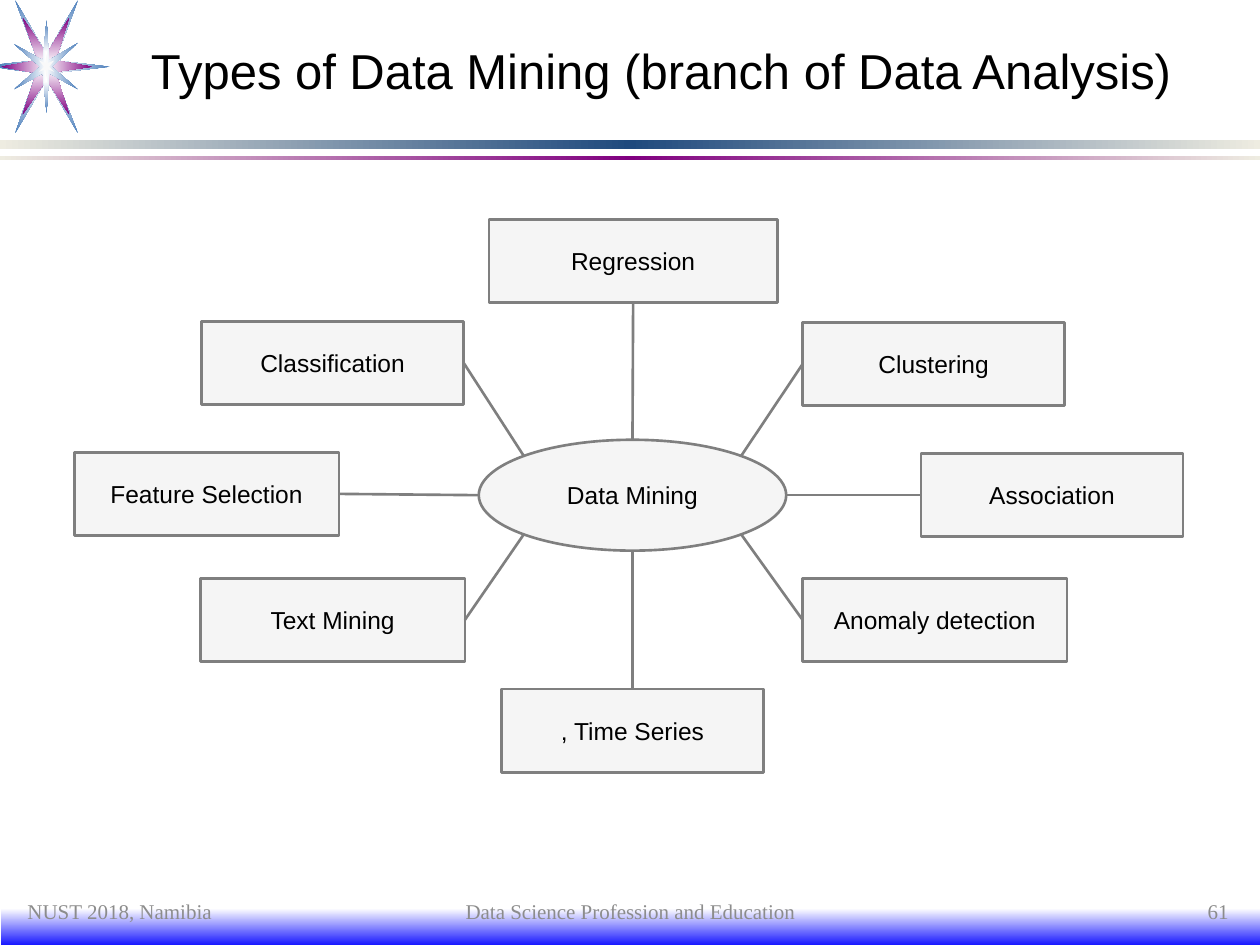
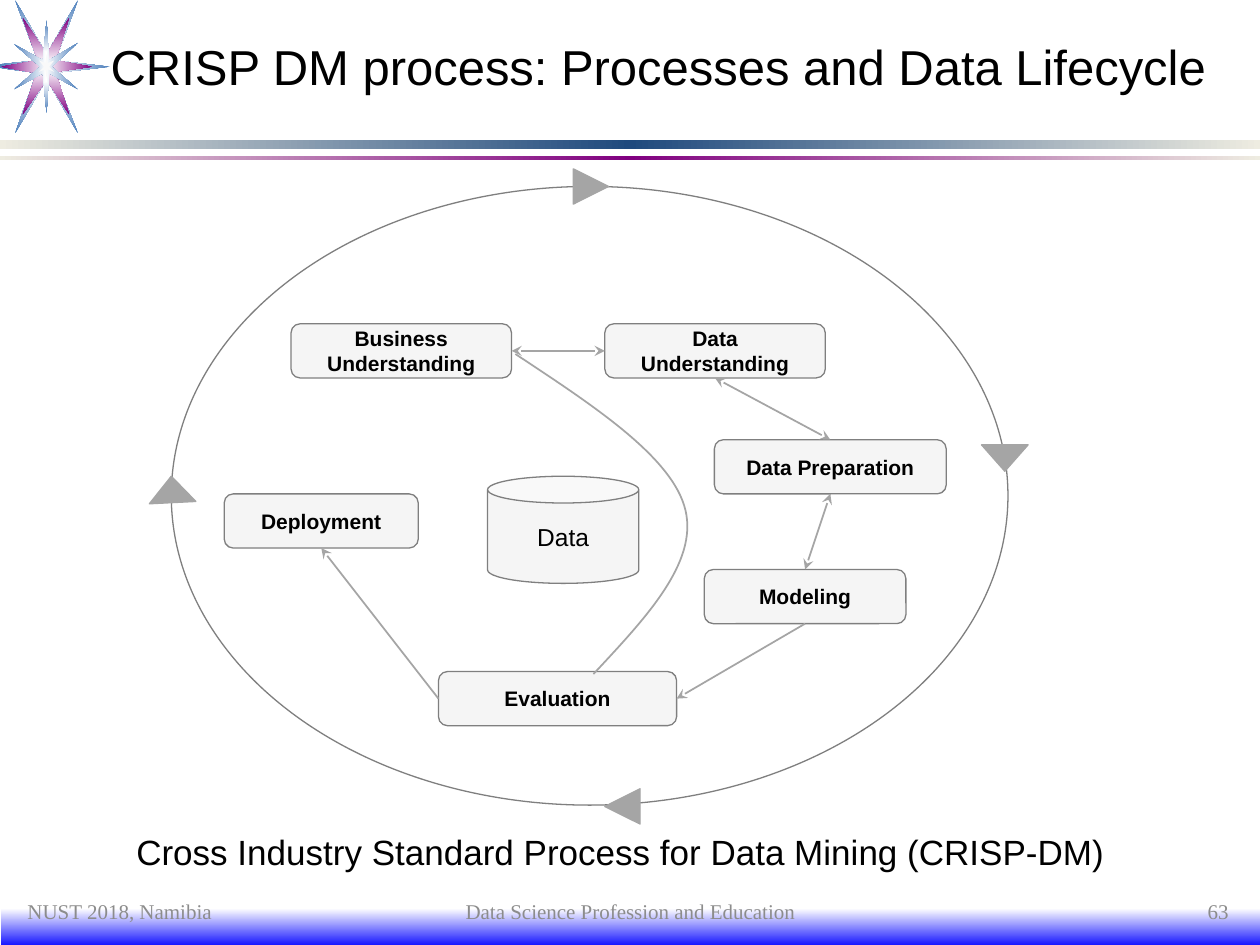
from dataclasses import dataclass
from math import cos, radians, sin
from typing import Any, Optional

from lxml import etree
from pptx import Presentation, util as u
from pptx.dml import color as dml
from pptx.enum import shapes, text
from pptx.oxml import ns
from pptx.shapes import autoshape, connector
from pptx.slide import Slide

COLORS = {
    "ink": "000000", "paper": "FFFFFF", "footer": "8C8C8C",
    "box": "F2F2F2", "outline": "7F7F7F", "arrow": "A5A5A5",
    "cream": "EEECE1", "navy": "1F497D", "purple": "800080",
    "sky": "4F81BD", "core": "F9F9F9", "blue": "0000FF",
}
LEFT, CENTER, RIGHT = text.PP_ALIGN.LEFT, text.PP_ALIGN.CENTER, text.PP_ALIGN.RIGHT
MIDDLE, TOP = text.MSO_ANCHOR.MIDDLE, text.MSO_ANCHOR.TOP
KIND = shapes.MSO_SHAPE
TOP_SIDE, LEFT_SIDE, BOTTOM_SIDE, RIGHT_SIDE = range(4)


@dataclass(frozen=True)
class Area:
    left: float
    top: float
    width: float
    height: float

    def lengths(self) -> list[int]:
        return [u.Inches(n) for n in (self.left, self.top, self.width, self.height)]


@dataclass(frozen=True)
class TextStyle:
    size: float
    color: str = "ink"
    font: str = "Arial"
    bold: bool = False
    align: Any = CENTER
    anchor: Any = MIDDLE


@dataclass(frozen=True)
class Band:
    area: Area
    colors: tuple[str, ...]
    angle: int = 0


@dataclass(frozen=True)
class StarLayer:
    points: list[tuple[float, float]]
    colors: tuple[str, ...]


@dataclass(frozen=True)
class Branch:
    label: str
    left: float
    top: float
    width: float
    side: int


@dataclass(frozen=True)
class Phase:
    label: str
    left: float
    top: float
    width: float


@dataclass(frozen=True)
class Step:
    start: str
    start_side: int
    end: str
    end_side: int
    two_way: bool = False


@dataclass(frozen=True)
class CycleMark:
    area: Area
    rotation: float


TITLE = TextStyle(28, align=LEFT)
NODE = TextStyle(14)
PHASE = TextStyle(12, bold=True)
CAPTION = TextStyle(20, anchor=TOP)

BANDS = [
    Band(Area(0.01, 7.21, 10, 0.32), ("paper", "blue"), 90),
    Band(Area(0, 1.11, 10, 0.07), ("cream", "navy", "cream")),
    Band(Area(0, 1.24, 10, 0.03), ("cream", "purple", "cream")),
]
STAR = [
    StarLayer([(0.3, 0.48), (0.12, 0), (0.37, 0.43), (0.62, 0), (0.44, 0.48),
               (0.87, 0.53), (0.43, 0.58), (0.62, 1.06), (0.37, 0.63),
               (0.12, 1.06), (0.29, 0.58), (0, 0.54), (0, 0.51)], ("paper", "sky")),
    StarLayer([(0.3, 0.48), (0.18, 0.14), (0.37, 0.43), (0.55, 0.14), (0.44, 0.48),
               (0.73, 0.53), (0.44, 0.57), (0.55, 0.91), (0.37, 0.63),
               (0.18, 0.91), (0.29, 0.58), (0.01, 0.53)], ("paper", "purple")),
    StarLayer([(0.11, 0.35), (0.34, 0.48), (0.37, 0.16), (0.39, 0.48), (0.62, 0.34),
               (0.41, 0.53), (0.62, 0.71), (0.39, 0.58), (0.37, 0.9),
               (0.34, 0.58), (0.11, 0.71), (0.32, 0.53)], ("paper", "sky")),
    StarLayer([(0.31, 0.48), (0.36, 0.5), (0.37, 0.43), (0.38, 0.5), (0.43, 0.48),
               (0.39, 0.53), (0.43, 0.57), (0.38, 0.55), (0.37, 0.62),
               (0.36, 0.55), (0.31, 0.57), (0.35, 0.53)], ("core",)),
]

HUB = Area(3.8, 3.49, 2.44, 0.88)
BRANCHES = [
    Branch("Regression", 3.88, 1.74, 2.29, BOTTOM_SIDE),
    Branch("Clustering", 6.37, 2.56, 2.08, LEFT_SIDE),
    Branch("Association", 7.31, 3.6, 2.08, LEFT_SIDE),
    Branch("Anomaly detection", 6.37, 4.59, 2.1, LEFT_SIDE),
    Branch(", Time Series", 3.98, 5.47, 2.08, TOP_SIDE),
    Branch("Text Mining", 1.59, 4.59, 2.1, RIGHT_SIDE),
    Branch("Feature Selection", 0.59, 3.59, 2.1, RIGHT_SIDE),
    Branch("Classification", 1.6, 2.55, 2.08, RIGHT_SIDE),
]
PHASES = [
    Phase("Business\nUnderstanding", 2.31, 2.57, 1.75),
    Phase("Data Understanding", 4.8, 2.57, 1.75),
    Phase("Data Preparation", 5.67, 3.49, 1.84),
    Phase("Modeling", 5.59, 4.52, 1.6),
    Phase("Deployment", 1.78, 3.92, 1.54),
    Phase("Evaluation", 3.48, 5.33, 1.89),
]
STEPS = [
    Step("Business\nUnderstanding", RIGHT_SIDE, "Data Understanding", LEFT_SIDE, True),
    Step("Data Understanding", BOTTOM_SIDE, "Data Preparation", TOP_SIDE, True),
    Step("Data Preparation", BOTTOM_SIDE, "Modeling", TOP_SIDE, True),
    Step("Modeling", BOTTOM_SIDE, "Evaluation", RIGHT_SIDE),
    Step("Evaluation", LEFT_SIDE, "Deployment", BOTTOM_SIDE),
]
FEEDBACK = [(4.71, 5.35), (5.12, 4.91), (5.54, 4.47), (5.44, 4.05),
            (5.34, 3.63), (4.71, 3.22), (4.09, 2.81)]
CYCLE_MARKS = [
    CycleMark(Area(4.55, 1.34, 0.28, 0.28), 90),
    CycleMark(Area(7.79, 3.53, 0.37, 0.21), 180),
    CycleMark(Area(4.8, 6.26, 0.28, 0.28), 270),
    CycleMark(Area(1.18, 3.78, 0.37, 0.21), 357.1),
]


def apply_format(target: Any, values: dict[str, Any]) -> None:
    for name, value in values.items():
        setattr(target, name, value)


def rgb(name: str) -> dml.RGBColor:
    return dml.RGBColor.from_string(COLORS[name])


def add_node(parent: Any, tag: str, **attributes: Any) -> Any:
    return etree.SubElement(parent, ns.qn(tag), {k: str(v) for k, v in attributes.items()})


def write(shape: Any, content: str, style: TextStyle, inset: float = 0.05) -> None:
    frame = shape.text_frame
    apply_format(frame, {
        "text": content, "word_wrap": True, "vertical_anchor": style.anchor,
        "margin_left": u.Inches(0.1), "margin_right": u.Inches(0.1),
        "margin_top": u.Inches(inset), "margin_bottom": u.Inches(inset),
    })
    for paragraph in frame.paragraphs:
        paragraph.alignment = style.align
        apply_format(paragraph.font, {
            "size": u.Pt(style.size), "name": style.font, "bold": style.bold})
        paragraph.font.color.rgb = rgb(style.color)


def add_label(slide: Slide, area: Area, content: str, style: TextStyle,
              inset: float = 0.05) -> None:
    write(slide.shapes.add_textbox(*area.lengths()), content, style, inset)


def paint(shape: autoshape.Shape, fill: str, outline: Optional[str] = None,
          weight: float = 0.75, opacity: int = 100) -> None:
    shape.shadow.inherit = False
    shape.fill.solid()
    shape.fill.fore_color.rgb = rgb(fill)
    if opacity < 100:
        tint = shape.element.spPr.find(ns.qn("a:solidFill"))[0]
        add_node(tint, "a:alpha", val=opacity * 1000)
    if outline:
        shape.line.color.rgb = rgb(outline)
        shape.line.width = u.Pt(weight)
    else:
        shape.line.fill.background()


def paint_gradient(shape: autoshape.Shape, colors: tuple[str, ...],
                   angle: Optional[int] = None) -> None:
    paint(shape, colors[0])
    properties = shape.element.spPr
    solid = properties.find(ns.qn("a:solidFill"))
    gradient = etree.Element(ns.qn("a:gradFill"), rotWithShape="1")
    stops = add_node(gradient, "a:gsLst")
    for index, name in enumerate(colors):
        stop = add_node(stops, "a:gs", pos=index * 100000 // (len(colors) - 1))
        add_node(stop, "a:srgbClr", val=COLORS[name])
    if angle is None:
        center = add_node(gradient, "a:path", path="rect")
        add_node(center, "a:fillToRect", l=50000, t=50000, r=50000, b=50000)
    else:
        add_node(gradient, "a:lin", ang=angle * 60000, scaled=0)
    properties.replace(solid, gradient)


def add_outline(slide: Slide, points: list[tuple[float, float]],
                close: bool) -> autoshape.Shape:
    corners = [(u.Inches(x), u.Inches(y)) for x, y in points]
    builder = slide.shapes.build_freeform(*corners[0])
    builder.add_line_segments(corners[1:], close=close)
    return builder.convert_to_shape()


def add_box(slide: Slide, kind: Any, area: Area, content: str, style: TextStyle,
            weight: float) -> autoshape.Shape:
    box = slide.shapes.add_shape(kind, *area.lengths())
    paint(box, "box", "outline", weight, opacity=70)
    write(box, content, style)
    return box


def add_link(slide: Slide, start: autoshape.Shape, side: int, end: tuple[float, float],
             color: str, weight: float) -> connector.Connector:
    x, y = (u.Inches(n) for n in end)
    link = slide.shapes.add_connector(shapes.MSO_CONNECTOR.STRAIGHT, x, y, x, y)
    link.begin_connect(start, side)
    link.line.color.rgb = rgb(color)
    link.line.width = u.Pt(weight)
    add_node(link.element.spPr, "a:effectLst")
    return link


def add_frame(slide: Slide, title: str, title_area: Area, number: str) -> None:
    for band in BANDS:
        strip = slide.shapes.add_shape(KIND.RECTANGLE, *band.area.lengths())
        paint_gradient(strip, band.colors, band.angle)
    for layer in STAR:
        star = add_outline(slide, layer.points, close=True)
        if len(layer.colors) > 1:
            paint_gradient(star, layer.colors)
        else:
            paint(star, layer.colors[0])
    add_label(slide, title_area, title, TITLE, inset=0.1)
    for left, width, content, align in [
        (0.12, 2.33, "NUST 2018, Namibia", LEFT),
        (3.42, 3.17, "Data Science Profession and Education", CENTER),
        (7.52, 2.33, number, RIGHT),
    ]:
        style = TextStyle(12, "footer", "Times New Roman", align=align)
        add_label(slide, Area(left, 7.09, width, 0.28), content, style)


def draw_mining_types(slide: Slide) -> None:
    add_frame(slide, "Types of Data Mining (branch of Data Analysis)",
              Area(1.1, 0.23, 8.67, 0.65), "61")
    add_box(slide, KIND.OVAL, HUB, "Data Mining", NODE, 1.5)
    for index, branch in enumerate(BRANCHES):
        area = Area(branch.left, branch.top, branch.width, 0.66)
        box = add_box(slide, KIND.RECTANGLE, area, branch.label, NODE, 1.5)
        angle = radians(45 * index - 90)
        rim = (HUB.left + HUB.width / 2 * (1 + cos(angle)),
               HUB.top + HUB.height / 2 * (1 + sin(angle)))
        add_link(slide, box, branch.side, rim, "outline", 1.5)


def draw_crisp_cycle(slide: Slide) -> None:
    add_frame(slide, "CRISP DM process: Processes and Data Lifecycle",
              Area(0.78, 0.2, 9, 0.65), "63")
    cycle = slide.shapes.add_shape(KIND.OVAL, *Area(1.36, 1.48, 6.64, 4.91).lengths())
    paint(cycle, "paper", "outline")
    boxes = {}
    for phase in PHASES:
        area = Area(phase.left, phase.top, phase.width, 0.43)
        boxes[phase.label] = add_box(slide, KIND.ROUNDED_RECTANGLE, area,
                                     phase.label, PHASE, 0.75)
    add_box(slide, KIND.CAN, Area(3.87, 3.78, 1.2, 0.85), "Data", NODE, 0.75)
    for step in STEPS:
        link = add_link(slide, boxes[step.start], step.start_side, (0, 0), "arrow", 1)
        link.end_connect(boxes[step.end], step.end_side)
        stroke = link.element.spPr.find(ns.qn("a:ln"))
        for tag in ("a:headEnd", "a:tailEnd") if step.two_way else ("a:tailEnd",):
            add_node(stroke, tag, type="stealth")

    feedback = add_outline(slide, FEEDBACK, close=False)
    paint(feedback, "paper", "arrow", 1)
    feedback.fill.background()
    route = feedback.element.find(".//" + ns.qn("a:path"))
    segments = route.findall(ns.qn("a:lnTo"))
    for first in range(0, len(segments), 3):
        curve = add_node(route, "a:cubicBezTo")
        for segment in segments[first:first + 3]:
            curve.append(segment[0])
            route.remove(segment)

    for mark in CYCLE_MARKS:
        triangle = slide.shapes.add_shape(KIND.ISOSCELES_TRIANGLE, *mark.area.lengths())
        triangle.rotation = mark.rotation
        paint(triangle, "arrow", "arrow")
    add_label(slide, Area(0.12, 6.54, 9.61, 0.55),
              "Cross Industry Standard Process for Data Mining (CRISP-DM)", CAPTION)


def main() -> None:
    deck = Presentation()
    apply_format(deck, {"slide_width": u.Inches(10), "slide_height": u.Inches(7.5)})
    for draw in (draw_mining_types, draw_crisp_cycle):
        draw(deck.slides.add_slide(deck.slide_layouts[6]))
    deck.save("out.pptx")


if __name__ == "__main__":
    main()
